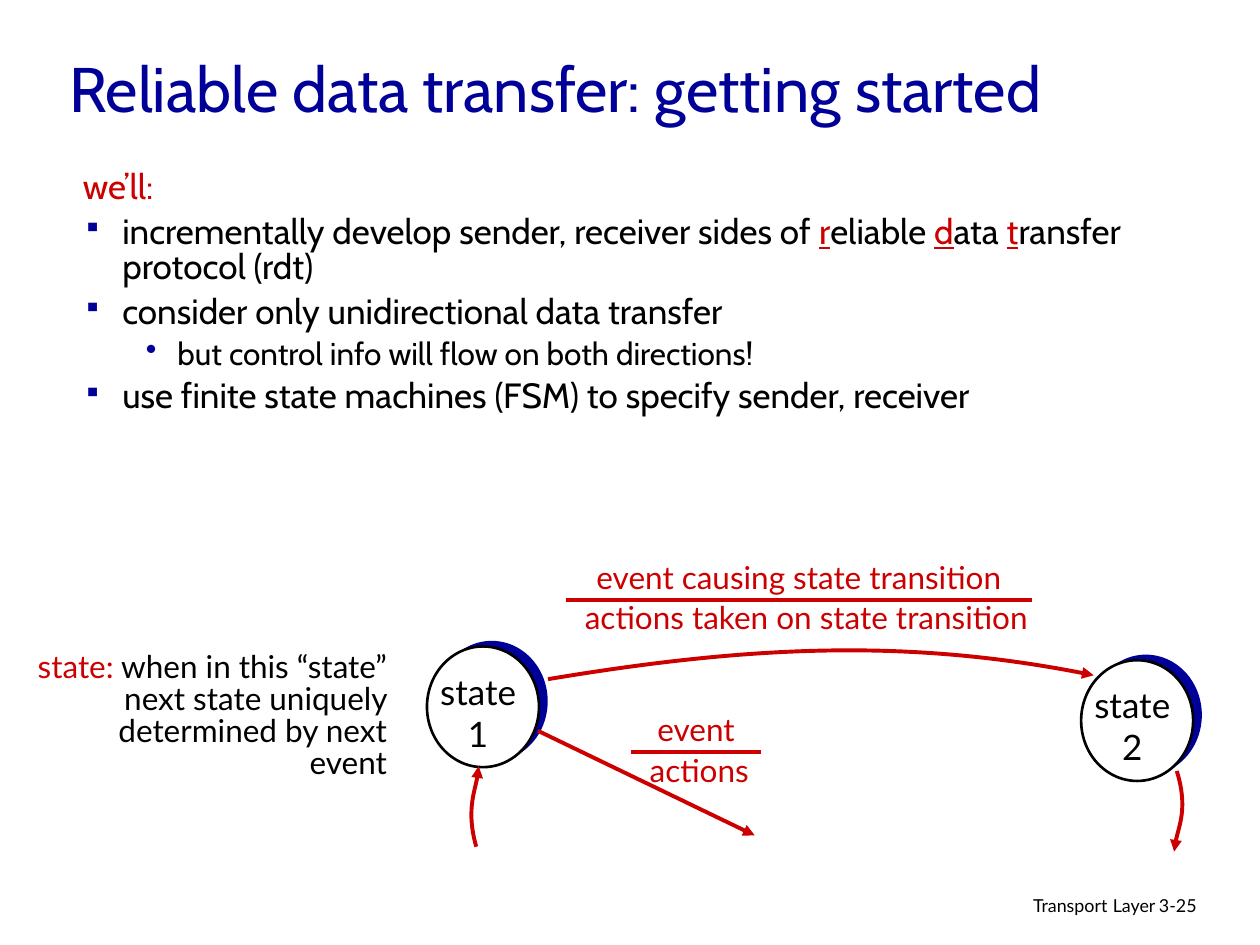
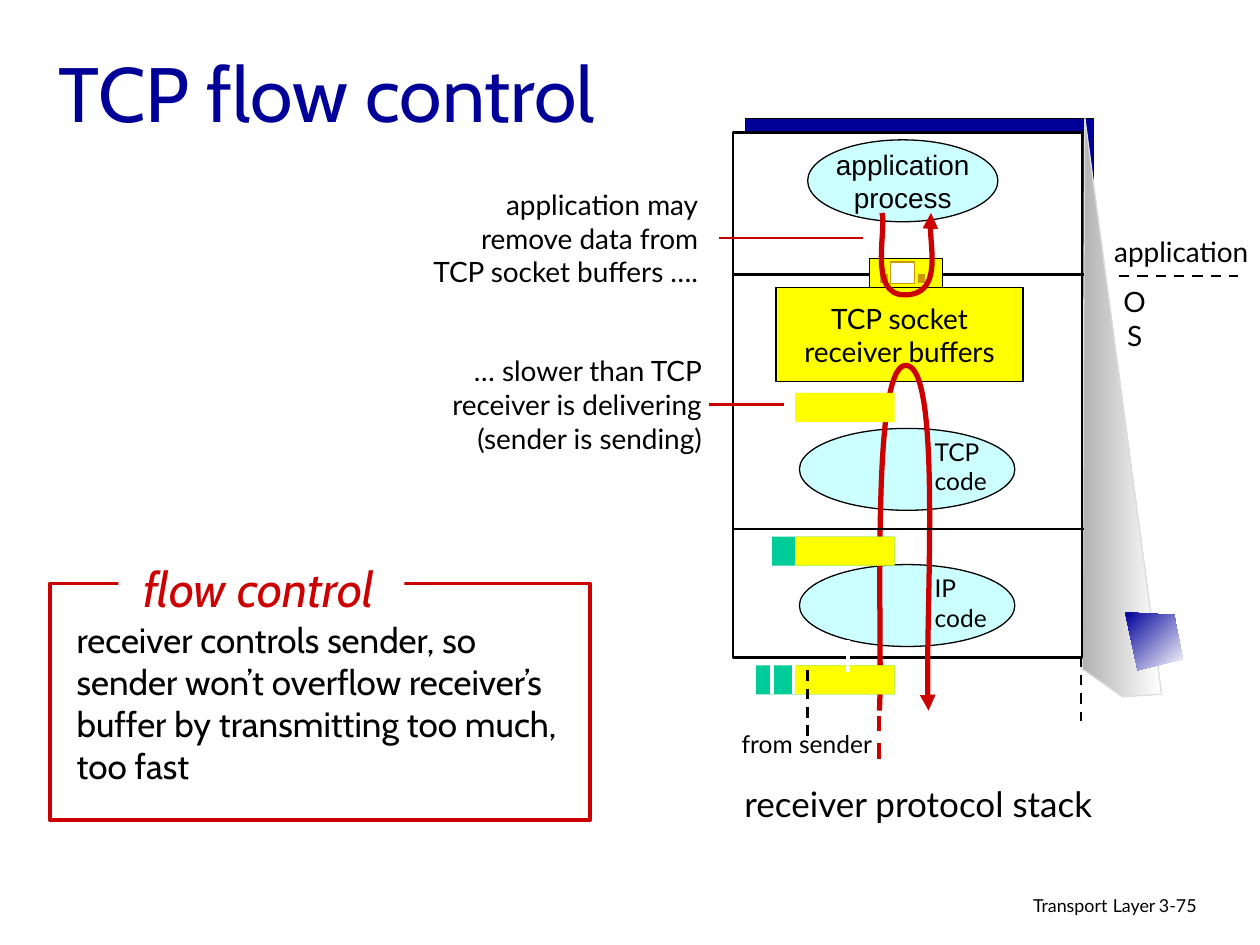
import pptx
import pptx.dml.color
import pptx.enum.dml
import pptx.enum.shapes
import pptx.enum.text
import pptx.oxml.ns
import pptx.util
from lxml import etree

Pt = pptx.util.Pt
qn = pptx.oxml.ns.qn
SHAPE = pptx.enum.shapes.MSO_SHAPE
ALIGN = pptx.enum.text.PP_ALIGN
MIDDLE = pptx.enum.text.MSO_ANCHOR.MIDDLE

NAVY, RED, BLACK, WHITE = "000099", "CC0000", "000000", "FFFFFF"
YELLOW, CYAN, GREEN, GOLD = "FFFF00", "CCFFFF", "00CC99", "CC9900"
HEAD_FONT, LABEL_FONT = "Cabin", "Lato"
BULLET_SCALE = {"▪": "75000", "•": "100000"}


def rgb(value):
    return pptx.dml.color.RGBColor.from_string(value)


def write(tf, text, size=18, font=LABEL_FONT, color=BLACK, align=ALIGN.LEFT, spacing=1.0,
          before=0, margin=0, hang=0, bullet=None, italic=False):
    for line in text.split("\n") if isinstance(text, str) else [text]:
        first = not tf.paragraphs[0].runs
        p = tf.paragraphs[0] if first else tf.add_paragraph()
        pPr = p._p.get_or_add_pPr()
        if margin:
            pPr.set("marL", str(Pt(margin)))
            pPr.set("indent", str(-Pt(hang)))
        if bullet:
            clr = etree.SubElement(pPr, qn("a:buClr"))
            etree.SubElement(clr, qn("a:srgbClr"), val=NAVY)
            etree.SubElement(pPr, qn("a:buSzPct"), val=BULLET_SCALE[bullet])
            etree.SubElement(pPr, qn("a:buChar"), char=bullet)
        p.alignment, p.line_spacing = align, spacing
        p.space_before = Pt(0 if first else before)
        for part, changes in [(line, {})] if isinstance(line, str) else line:
            r = p.add_run()
            r.text = part
            r.font.name, r.font.italic = font, italic
            r.font.size = Pt(changes.get("size", size))
            r.font.color.rgb = rgb(changes.get("color", color))
            r.font.underline = changes.get("underline", False)


def textbox(s, x, y, w, h, text=None, wrap=False, anchor=None, **fmt):
    sp = s.shapes.add_textbox(Pt(x), Pt(y), Pt(w), Pt(h))
    tf = sp.text_frame
    tf.word_wrap = wrap
    if anchor is not None:
        tf.vertical_anchor = anchor
    if text:
        write(tf, text, **fmt)
    return tf


def paint(sp, fill, line, width):
    sp.shadow.inherit = False
    if fill is None:
        sp.fill.background()
    elif isinstance(fill, tuple):
        *colors, angle = fill
        sp.fill.gradient()
        sp.fill.gradient_angle = angle
        for stop, color in zip(sp.fill.gradient_stops, colors):
            stop.color.rgb = rgb(color)
    else:
        sp.fill.solid()
        sp.fill.fore_color.rgb = rgb(fill)
    if line:
        sp.line.color.rgb = rgb(line)
        sp.line.width = Pt(width)
    else:
        sp.line.fill.background()


def shape(s, kind, x, y, w, h, fill, line=None, width=0.75, text=None, **fmt):
    sp = s.shapes.add_shape(kind, Pt(x), Pt(y), Pt(w), Pt(h))
    paint(sp, fill, line, width)
    if text:
        sp.text_frame.word_wrap = False
        sp.text_frame.vertical_anchor = MIDDLE
        write(sp.text_frame, text, align=ALIGN.CENTER, **fmt)
    return sp


def add_arrowhead(sp):
    ln = sp.element.spPr.find(qn("a:ln"))
    etree.SubElement(ln, qn("a:tailEnd"), type="triangle")


def line(s, x1, y1, x2, y2, color, width=1.5, dash=False, arrow=False):
    sp = s.shapes.add_connector(pptx.enum.shapes.MSO_CONNECTOR.STRAIGHT,
                                Pt(x1), Pt(y1), Pt(x2), Pt(y2))
    sp.line.color.rgb = rgb(color)
    sp.line.width = Pt(width)
    if dash:
        sp.line.dash_style = pptx.enum.dml.MSO_LINE.DASH
    if arrow:
        add_arrowhead(sp)
    etree.SubElement(sp.element.spPr, qn("a:effectLst"))


def outline(s, x, y, points, close):
    pts = [(Pt(x + dx), Pt(y + dy)) for dx, dy in points]
    fb = s.shapes.build_freeform(*pts[0], scale=1.0)
    fb.add_line_segments(pts[1:], close=close)
    return fb.convert_to_shape()


def polygon(s, x, y, points, fill, edge=None):
    paint(outline(s, x, y, points, True), fill, edge, 0.75)


def curve(s, x, y, points, width=2.25):
    sp = outline(s, x, y, points, False)
    segments = iter(list(sp.element.iter(qn("a:lnTo"))))
    for a, b, c in zip(segments, segments, segments):
        a.tag = qn("a:cubicBezTo")
        for extra in (b, c):
            a.append(extra[0])
            extra.getparent().remove(extra)
    paint(sp, None, RED, width)
    add_arrowhead(sp)


def title(s, x, y, h, text, size):
    textbox(s, x, y, 612, h, text, wrap=True, anchor=MIDDLE, size=size, font=HEAD_FONT, color=NAVY)


def footer(s, number):
    textbox(s, 439.2, 507.6, 228.2, 22.3,
            [("Transport", {}), (" ", {"size": 11.9}), ("Layer", {})],
            wrap=True, size=10.2, align=ALIGN.RIGHT, spacing=0.9)
    textbox(s, 655.2, 509, 53.3, 21.6, number, wrap=True, size=10.2, spacing=0.9)


def goals(s, x, y, w, h):
    tf = textbox(s, x, y, w, h, wrap=True)
    base = dict(font=HEAD_FONT, spacing=0.85)
    top = dict(base, size=20, before=5, margin=22.5, hang=22.5)
    initial = {"color": RED, "underline": True}
    write(tf, "we’ll:", color=RED, **top)
    write(tf, [("incrementally develop sender, receiver sides of ", {}),
               ("r", initial), ("eliable ", {}), ("d", initial), ("ata ", {}),
               ("t", initial), ("ransfer protocol (rdt)", {})], bullet="▪", **top)
    write(tf, "consider only unidirectional data transfer", bullet="▪", **top)
    write(tf, "but control info will flow on both directions!", size=18, before=4.5,
          margin=54, hang=18, bullet="•", **base)
    write(tf, "use finite state machines (FSM) to specify sender, receiver", bullet="▪", **top)


def state(s, x, y, number):
    shape(s, SHAPE.OVAL, x + 5, y - 3.2, 64, 69, NAVY)
    shape(s, SHAPE.OVAL, x, y, 64, 69, WHITE, BLACK, 1.5)
    textbox(s, x - 1, y + 10, 60.5, 55.4, "state\n" + number, size=20, align=ALIGN.CENTER)


def transition(s, x, y, w, event, actions, shift):
    fmt = dict(color=RED, align=ALIGN.CENTER)
    overhang = 12
    label_w = w + 2 * overhang
    textbox(s, x - overhang, y - 27.6, label_w, 28.8, event, **fmt)
    textbox(s, x - overhang + shift, y - 4.3, label_w, 28.8, actions, **fmt)
    line(s, x, y, x + w, y, RED, 2.25)


def state_machine(s, x, y):
    state(s, x + 234, y + 54.4, "1")
    state(s, x + 607.8, y + 62.3, "2")
    curve(s, x, y, [(303.2, 73.1), (419.8, 53.6), (512.7, 50), (615, 70.9)])
    transition(s, x + 313.3, y + 27.7, 266.4, "event causing state transition",
               "actions taken on state transition", 4.3)
    textbox(s, x, y + 54.4, 218.2, 97.2,
            [("state:", {"color": RED}),
             (" when in this “state” next state uniquely determined by next event", {})],
            wrap=True, align=ALIGN.RIGHT, spacing=0.85, margin=27, hang=27)
    curve(s, x, y, [(262.2, 168.8), (256.4, 148.7), (263.6, 130), (263.6, 122.8)])
    curve(s, x, y, [(662.5, 125.6), (669, 146.5), (661, 164.5), (661, 171.7)])
    line(s, x + 297.4, y + 102.6, x + 421.3, y + 162.4, RED, 2.25, arrow=True)
    transition(s, x + 350.7, y + 114.8, 74.2, "event", "actions", 1.8)


def protocol_code(s, x, y, name):
    shape(s, SHAPE.OVAL, x, y, 123.1, 46.8, CYAN, BLACK)
    textbox(s, x + 70.2, y + 1.4, 46, 41, name + "\ncode", size=14)


def socket(s, x, y):
    shape(s, SHAPE.RECTANGLE, x, y, 41.8, 16.6, YELLOW, BLACK)
    shape(s, SHAPE.RECTANGLE, x + 12.2, y + 2.2, 13.7, 12.2, WHITE, GOLD)
    for dx in (6.4, 28):
        shape(s, SHAPE.RECTANGLE, x + dx, y + 9.4, 3.6, 4.3, GOLD, GOLD)


def packet(s, x, y, header, dividers=()):
    if header:
        shape(s, SHAPE.RECTANGLE, x - header, y, header + 56.9, 16.6, GREEN)
    for dx in dividers:
        line(s, x - dx, y, x - dx, y + 16.6, WHITE, 2.25)
    shape(s, SHAPE.RECTANGLE, x, y, 56.9, 16.6, YELLOW)


def stack(s, x, y):
    shape(s, SHAPE.RECTANGLE, x + 7.2, y - 8, 198.7, 303.8, NAVY, BLACK)
    polygon(s, x, y, [(244.8, 321.1), (200.9, -8.6), (199.4, 306.7), (222.5, 322.6)],
            ("B2B2B2", WHITE, 0), "DDDDDD")
    shape(s, SHAPE.RECTANGLE, x, y, 199.4, 300.2, WHITE, BLACK, 1.5)
    shape(s, SHAPE.OVAL, x + 42.5, y + 4.3, 108.7, 46.8, CYAN, BLACK,
          text="application\nprocess", size=16, font="Arial")
    shape(s, SHAPE.RECTANGLE, x + 24.5, y + 88.6, 141.1, 54, YELLOW, BLACK,
          text="TCP socket\nreceiver buffers", size=16)
    protocol_code(s, x + 37.8, y + 169.2, "TCP")
    protocol_code(s, x + 37.8, y + 247, "IP")
    curve(s, x, y, [(83.5, 330.5), (85.7, 297.4), (77.8, 133.2), (98.6, 133.2),
                    (119.5, 133.2), (108.7, 289.4), (111.6, 330.5)], 3)
    for dy in (81.4, 226.8):
        line(s, x, y + dy, x + 200.5, y + dy, BLACK)
    socket(s, x + 77.8, y + 72)
    curve(s, x, y, [(85, 46.1), (87.8, 55.4), (77, 92.9), (97.9, 92.9),
                    (118.8, 92.9), (110.9, 54), (113, 46.1)], 3)
    packet(s, x + 35.3, y + 149, 0)
    packet(s, x + 35.3, y + 231.1, 13)
    packet(s, x + 35.3, y + 304.6, 22.3, (13, 0.7))
    textbox(s, x + 207.4, y + 54.7, 97.2, 26.6, "application", size=16, align=ALIGN.CENTER)
    textbox(s, x + 211.7, y + 83.5, 35.3, 26.6, "OS", wrap=True, size=16, align=ALIGN.CENTER)
    line(s, x + 220.3, y + 82.1, x + 288.7, y + 82.1, BLACK, dash=True)
    textbox(s, x - 7.9, y + 367.9, 227.5, 31.7, "receiver protocol stack",
            size=20, align=ALIGN.CENTER)
    line(s, x + 83.5, y + 333.4, x + 83.5, y + 360.7, RED, 2.25, dash=True)
    textbox(s, x - 5.8, y + 337.7, 95.8, 24.5, "from sender", size=14, align=ALIGN.CENTER)
    line(s, x + 65.5, y + 290.2, x + 65.5, y + 308.2, WHITE, 2.25)
    line(s, x + 42.5, y + 307.4, x + 42.5, y + 347.8, BLACK, dash=True)
    line(s, x + 198.7, y + 299.5, x + 198.7, y + 336.2, BLACK, dash=True)
    polygon(s, x, y, [(223.9, 274.3), (252, 275.8), (257, 301), (231.1, 307.4)],
            (NAVY, WHITE, 315))


def note(s, x, y, w, text, start, end):
    textbox(s, x, y, w, 64.8, text, wrap=True, size=16, align=ALIGN.RIGHT)
    line(s, start, y + 32.4, end, y + 32.4, RED)


def definition(s, x, y, w, h):
    shape(s, SHAPE.RECTANGLE, x, y, w, h, WHITE, RED, 2.25)
    textbox(s, x + 7.9, y + 16.6, w - 18, h - 8,
            "receiver controls sender, so sender won’t overflow receiver’s buffer "
            "by transmitting too much, too fast", wrap=True, size=20, font=HEAD_FONT)
    shape(s, SHAPE.RECTANGLE, x + 38.9, y - 10, 163.4, 31, WHITE)
    textbox(s, x + 38.2, y - 18, 161.3, 41, "flow control", size=28, font=HEAD_FONT,
            color=RED, align=ALIGN.CENTER, italic=True)


def reliable_transfer_slide(s):
    footer(s, "3-25")
    goals(s, 40.3, 94.3, 626.4, 166.3)
    state_machine(s, 10, 315)
    title(s, 32.4, 15, 70, "Reliable data transfer: getting started", 36)


def flow_control_slide(s):
    footer(s, "3-75")
    title(s, 26.6, 13.7, 77, "TCP flow control", 44)
    stack(s, 419, 75.6)
    note(s, 154.8, 103.7, 251.3, "application may\nremove data from\nTCP socket buffers ….",
         411, 493.2)
    note(s, 244, 198.7, 164.2, "… slower than TCP\nreceiver is delivering\n(sender is sending)",
         405.4, 447.8)
    definition(s, 28.8, 333.4, 308.2, 135.4)


def main():
    prs = pptx.Presentation()
    prs.slide_width, prs.slide_height = Pt(720), Pt(540)
    for build in (reliable_transfer_slide, flow_control_slide):
        build(prs.slides.add_slide(prs.slide_layouts[6]))
    prs.save("out.pptx")


if __name__ == "__main__":
    main()
